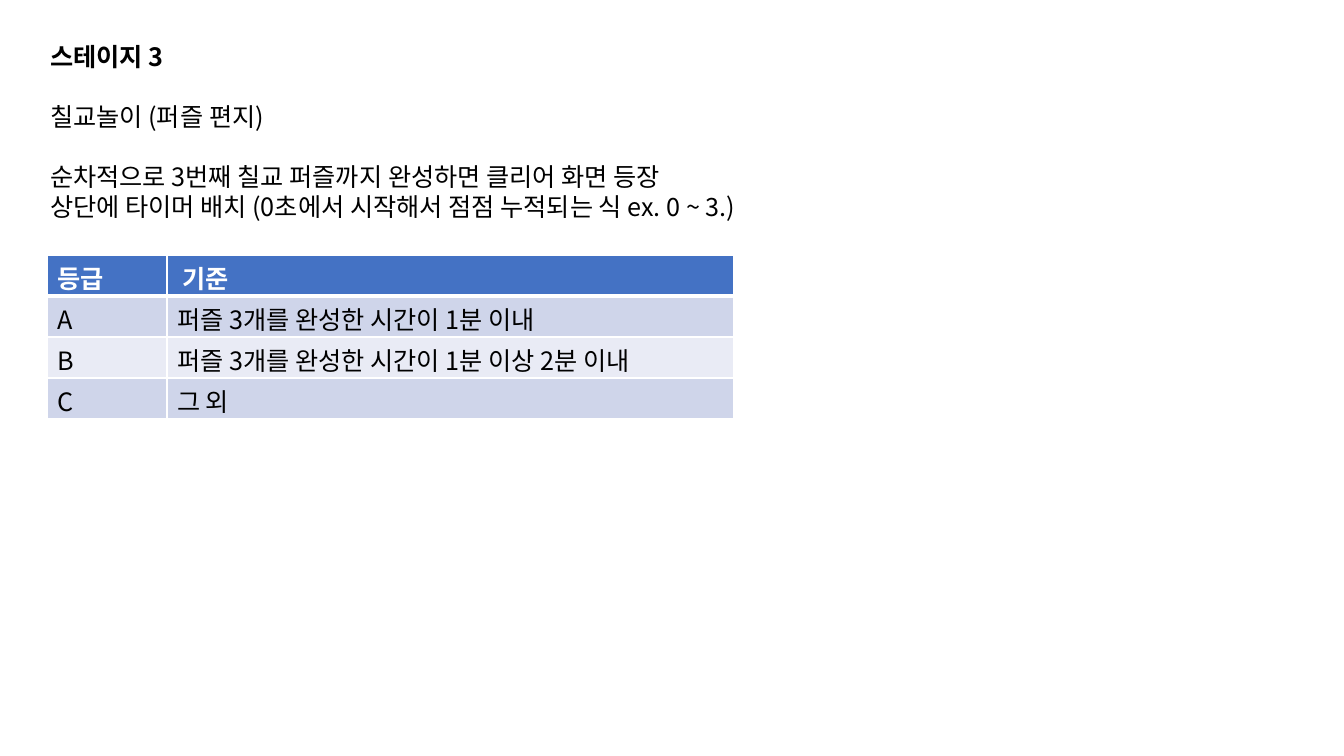
import pptx
import pptx.util
import pptx.dml.color
import pptx.enum.text
import pptx.oxml.ns
from lxml import etree

PX = 914400 / 100.8
FONT = "Noto Sans CJK KR"
SIZE = pptx.util.Pt(18)
LINE = pptx.util.Pt(21.5)
COLORS = {"ink": "000000", "white": "FFFFFF", "header": "4472C4",
          "band_dark": "CFD5EA", "band_light": "E9EBF5"}
RULES = ["순차적으로 3번째 칠교 퍼즐까지 완성하면 클리어 화면 등장",
         "상단에 타이머 배치 (0초에서 시작해서 점점 누적되는 식 ex. 0 ~ 3.)"]
GRADES = [("등급", " 기준"),
          ("A", "퍼즐 3개를 완성한 시간이 1분 이내"),
          ("B", "퍼즐 3개를 완성한 시간이 1분 이상 2분 이내"),
          ("C", "그 외")]


def px(n):
    return pptx.util.Emu(round(n * PX))


def rgb(name):
    return pptx.dml.color.RGBColor.from_string(COLORS[name])


def add_child(parent, tag, **attrs):
    return etree.SubElement(parent, pptx.oxml.ns.qn(tag), attrs)


def format_runs(p, color, bold):
    for r in p.runs:
        r.font.name = FONT
        r.font.size = SIZE
        r.font.bold = bold
        r.font.color.rgb = rgb(color)
        add_child(r._r.get_or_add_rPr(), "a:ea", typeface=FONT)


def fill_placeholder(sp, box, lines, bold=False):
    """Each line is its text and the space before it in points."""
    sp.left, sp.top, sp.width, sp.height = map(px, box)
    tf = sp.text_frame
    tf.word_wrap = True
    tf.auto_size = pptx.enum.text.MSO_AUTO_SIZE.NONE
    tf.vertical_anchor = pptx.enum.text.MSO_ANCHOR.TOP
    tf.text = "\n".join(text for text, _ in lines)
    for p, (_, before) in zip(tf.paragraphs, lines):
        pPr = p._p.get_or_add_pPr()
        pPr.set("marL", "0")
        pPr.set("indent", "0")
        add_child(pPr, "a:buNone")
        p.alignment = pptx.enum.text.PP_ALIGN.LEFT
        p.line_spacing = LINE
        p.space_before = pptx.util.Pt(before)
        format_runs(p, "ink", bold)


def set_borders(cell, bottom):
    tcPr = cell._tc.get_or_add_tcPr()
    for i, side in enumerate(("a:lnL", "a:lnR", "a:lnT", "a:lnB")):
        width = bottom if side == "a:lnB" else 1
        ln = etree.Element(pptx.oxml.ns.qn(side), w=str(pptx.util.Pt(width)))
        fill = add_child(ln, "a:solidFill")
        add_child(fill, "a:srgbClr", val=COLORS["white"])
        tcPr.insert(i, ln)


def add_grade_table(s, left, top, widths, row_height):
    frame = s.shapes.add_table(len(GRADES), len(widths), px(left), px(top),
                               px(sum(widths)), px(row_height * len(GRADES)))
    table = frame.table
    for column, width in zip(table.columns, widths):
        column.width = px(width)
    for i, texts in enumerate(GRADES):
        table.rows[i].height = px(row_height)
        header = i == 0
        fill = "header" if header else ("band_dark" if i % 2 else "band_light")
        for j, text in enumerate(texts):
            cell = table.cell(i, j)
            cell.margin_top, cell.margin_bottom = px(4), 0
            cell.fill.solid()
            cell.fill.fore_color.rgb = rgb(fill)
            cell.text_frame.text = text
            format_runs(cell.text_frame.paragraphs[0],
                        "white" if header else "ink", header)
            set_borders(cell, 3 if header else 1)


def main():
    prs = pptx.Presentation()
    prs.slide_width, prs.slide_height = px(1344), px(756)
    s = prs.slides.add_slide(prs.slide_layouts[1])

    # Stage heading and rules
    title, body = s.placeholders
    fill_placeholder(title, (40, 36, 1075, 60), [("스테이지 3", 0)], bold=True)
    fill_placeholder(body, (40, 96, 1075, 150),
                     [("칠교놀이 (퍼즐 편지)", 0), (RULES[0], 21.5), (RULES[1], 0)])

    # Grading criteria
    add_grade_table(s, 47, 255, (120, 567), 41)

    prs.save("out.pptx")


if __name__ == "__main__":
    main()
